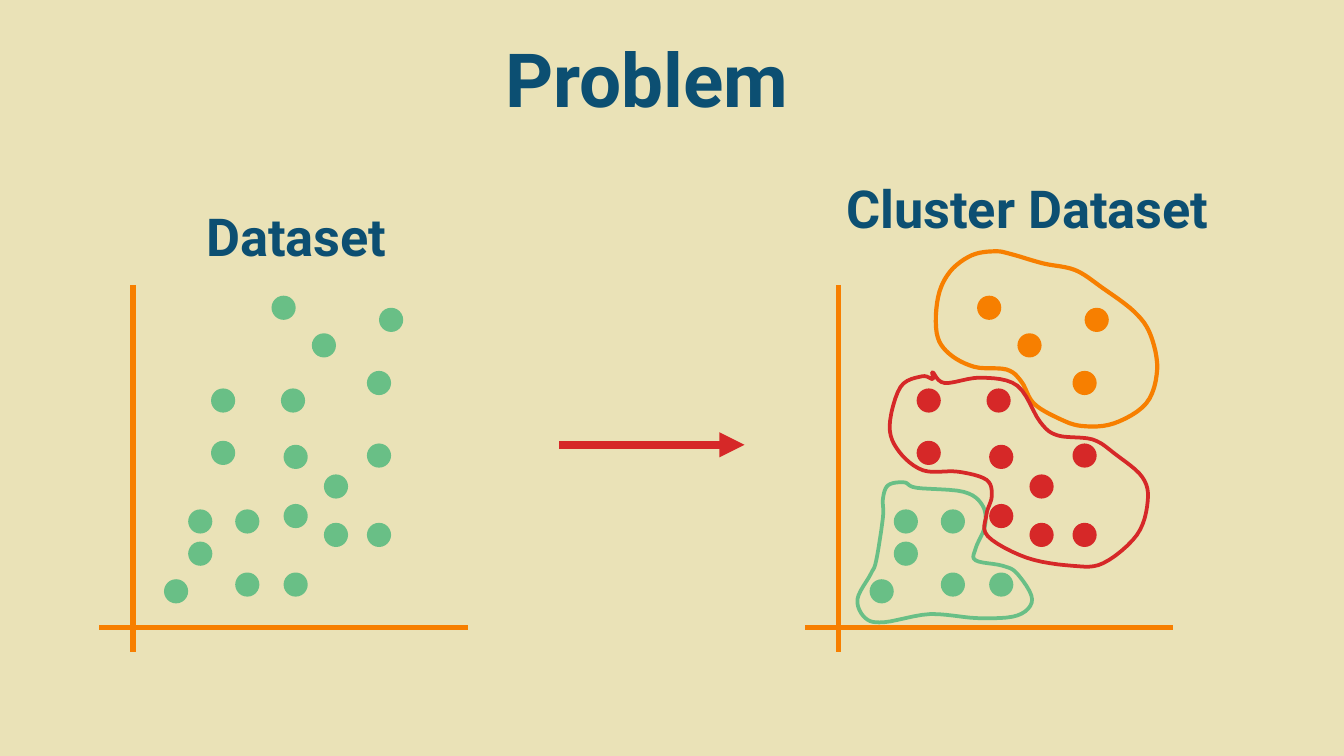
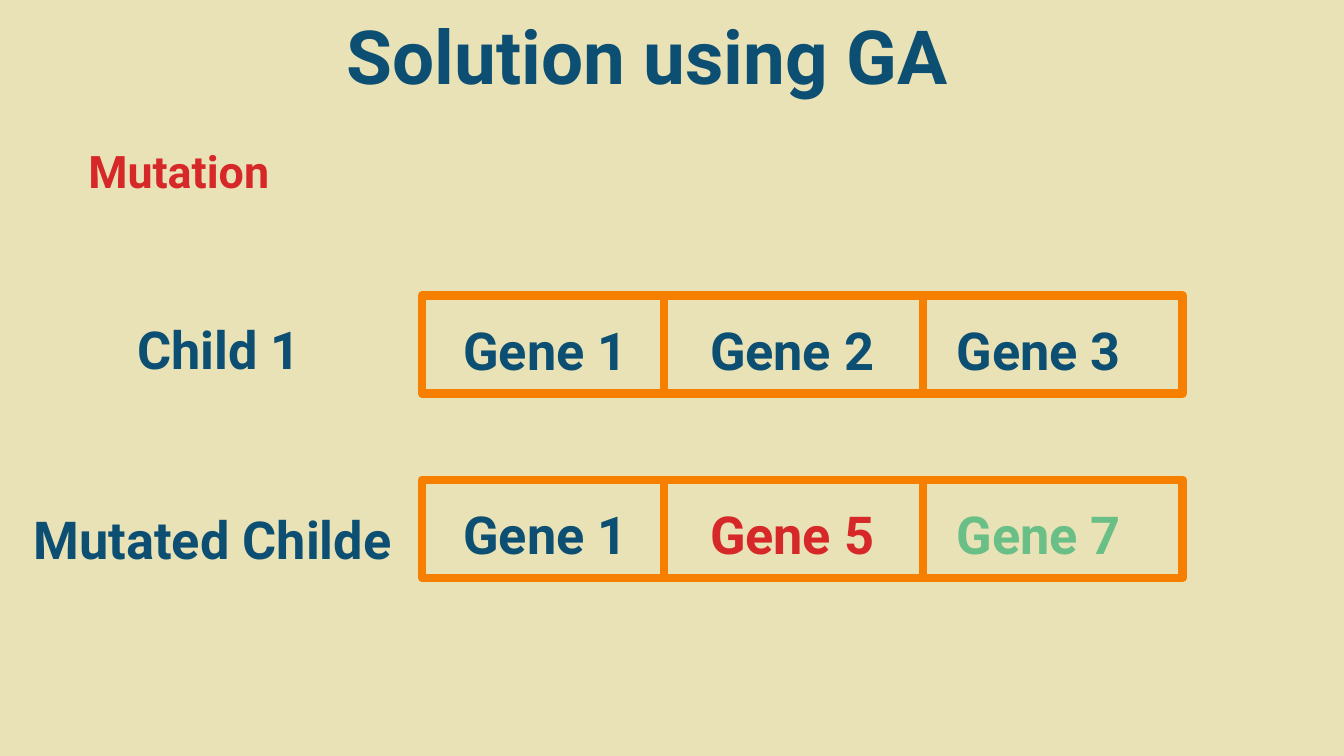
from collections import namedtuple
from dataclasses import dataclass

from lxml import etree
from pptx import Presentation
from pptx.dml.color import RGBColor
from pptx.enum.shapes import MSO_CONNECTOR, MSO_SHAPE
from pptx.enum.text import MSO_ANCHOR, PP_ALIGN
from pptx.oxml.ns import qn
from pptx.util import Pt

STRAIGHT = MSO_CONNECTOR.STRAIGHT
OVAL = MSO_SHAPE.OVAL
RECTANGLE = MSO_SHAPE.RECTANGLE
BOTTOM = MSO_ANCHOR.BOTTOM
CENTER = PP_ALIGN.CENTER

Box = namedtuple("Box", "left top width height")
Cluster = namedtuple("Cluster", "color line_width columns bends")


@dataclass(frozen=True)
class Theme:
    sand: str = "EAE2B7"
    navy: str = "0C4F72"
    orange: str = "F77F00"
    red: str = "D62828"
    green: str = "69BF86"
    font: str = "Roboto"
    title_size: float = 40
    label_size: float = 28
    topic_size: float = 24
    inset: float = 7.2
    axis_line: float = 3
    heavy_line: float = 4.5


THEME = Theme()
GRID = 0.72
DOT_SIZE = 18 * GRID
CURVE_STEPS = 6
LABEL_HEIGHT = 57.6
HEADING_WIDTH = 357.84

LOWER_CLUSTER = Cluster(
    color=THEME.green, line_width=2,
    columns={47: [231], 65: [203, 179], 100: [179, 226], 136: [226]},
    bends=[(48, 227), (38, 246), (44, 260), (58, 263), (92, 257), (128, 260),
           (157, 258), (168, 246), (157, 227), (146, 221), (126, 217), (126, 208),
           (133, 191), (131, 176), (117, 166), (82, 163), (73, 159), (61, 161),
           (57, 171), (57, 185), (52, 217)])
MIDDLE_CLUSTER = Cluster(
    color=THEME.red, line_width=2,
    columns={82: [128, 89], 134: [89], 136: [131, 175], 166: [153, 189], 198: [189, 130]},
    bends=[(94, 82), (86, 80), (70, 88), (62, 117), (69, 136), (87, 150), (113, 151),
           (134, 157), (138, 169), (134, 183), (135, 199), (164, 215), (198, 221),
           (221, 219), (246, 198), (254, 173), (250, 155), (230, 138), (213, 127),
           (187, 124), (174, 114), (157, 87), (130, 81), (103, 85), (94, 77)])
UPPER_CLUSTER = Cluster(
    color=THEME.orange, line_width=2.25,
    columns={127: [20], 157: [48], 198: [76], 207: [29]},
    bends=[(176, -4), (152, -11), (140, -13), (123, -10), (107, 2), (98, 21), (97, 48),
           (106, 63), (125, 73), (149, 75), (160, 84), (169, 100), (187, 111),
           (205, 117), (229, 115), (253, 100), (261, 75), (256, 49), (244, 32),
           (220, 14), (200, 1)])
CLUSTERS = [UPPER_CLUSTER, LOWER_CLUSTER, MIDDLE_CLUSTER]


def lengths(box):
    return [Pt(value) for value in box]


def set_line(line, color, width):
    line.color.rgb = RGBColor.from_string(color)
    line.width = Pt(width)


def make_outline_only(shape, color, width):
    shape.shadow.inherit = False
    shape.fill.background()
    set_line(shape.line, color, width)
    etree.SubElement(shape.line._get_or_add_ln(), qn("a:round"))


def add_label(page, box, text, size=THEME.label_size, color=THEME.navy):
    frame = page.shapes.add_textbox(*lengths(box)).text_frame
    inset = Pt(THEME.inset)
    frame_format = {"word_wrap": True, "vertical_anchor": BOTTOM,
                    "margin_left": inset, "margin_right": inset,
                    "margin_top": inset, "margin_bottom": inset}
    for name, value in frame_format.items():
        setattr(frame, name, value)
    para = frame.paragraphs[0]
    para.alignment = CENTER
    span = para.add_run()
    span.text = text
    span_format = {"name": THEME.font, "size": Pt(size), "bold": True}
    for name, value in span_format.items():
        setattr(span.font, name, value)
    span.font.color.rgb = RGBColor.from_string(color)


def add_line(page, start, end, color, width):
    connector = page.shapes.add_connector(STRAIGHT, *lengths(start + end))
    set_line(connector.line, color, width)
    etree.SubElement(connector._element.spPr, qn("a:effectLst"))
    return connector


def add_arrow(page, start, end):
    arrow = add_line(page, start, end, THEME.red, THEME.heavy_line)
    etree.SubElement(arrow.line._get_or_add_ln(), qn("a:tailEnd"), type="triangle")


def add_page(deck, title, title_box):
    page = deck.slides.add_slide(deck.slide_layouts[6])
    page.background.fill.solid()
    page.background.fill.fore_color.rgb = RGBColor.from_string(THEME.sand)
    add_label(page, title_box, title, THEME.title_size)
    return page


def add_axes(page, box):
    upright = box.left + 24 * GRID
    across = box.top + 267 * GRID
    ends = [((upright, box.top + 12 * GRID), (upright, box.top + box.height)),
            ((box.left - GRID, across), (box.left + box.width, across))]
    for start, end in ends:
        add_line(page, start, end, THEME.orange, THEME.axis_line)


def add_dots(page, box, columns, color):
    for column, rows in columns.items():
        for row in rows:
            spot = Box(box.left + column * GRID, box.top + row * GRID, DOT_SIZE, DOT_SIZE)
            dot = page.shapes.add_shape(OVAL, *lengths(spot))
            dot.shadow.inherit = False
            dot.fill.solid()
            dot.fill.fore_color.rgb = RGBColor.from_string(color)
            dot.line.fill.background()


def spline_value(before, start, end, after, step):
    return start + step / 2 * (
        end - before
        + step * (2 * before - 5 * start + 4 * end - after
                  + step * (3 * (start - end) + after - before)))


def smooth_loop(bends):
    count = len(bends)
    points = []
    for index in range(count):
        neighbours = [bends[(index + shift) % count] for shift in (-1, 0, 1, 2)]
        for step in range(CURVE_STEPS):
            points.append(tuple(spline_value(*values, step / CURVE_STEPS)
                                for values in zip(*neighbours)))
    return points


def add_loop(page, box, cluster):
    points = [(Pt(x * GRID), Pt(y * GRID)) for x, y in smooth_loop(cluster.bends)]
    builder = page.shapes.build_freeform(*points[0])
    builder.add_line_segments(points[1:], close=True)
    loop = builder.convert_to_shape(Pt(box.left), Pt(box.top))
    make_outline_only(loop, cluster.color, cluster.line_width)


def add_dataset(page, box):
    add_axes(page, box)
    for cluster in CLUSTERS:
        add_dots(page, box, cluster.columns, THEME.green)


def add_clustered_dataset(page, box):
    add_axes(page, box)
    for cluster in CLUSTERS:
        add_dots(page, box, cluster.columns, cluster.color)
    for cluster in CLUSTERS:
        add_loop(page, box, cluster)


def add_chromosome(page, box, genes):
    frame = page.shapes.add_shape(RECTANGLE, *lengths(box))
    make_outline_only(frame, THEME.orange, THEME.heavy_line)
    for offset in (129.6, 268.56):
        divider = box.left + offset
        add_line(page, (divider, box.top), (divider, box.top + box.height),
                 THEME.orange, THEME.heavy_line)
    for index, (gene, color) in enumerate(genes):
        gene_box = Box(box.left - 31 + 132.1 * index, box.top - 4.9, 194.4, LABEL_HEIGHT)
        add_label(page, gene_box, gene, color=color)


def build_problem(deck):
    page = add_page(deck, "Problem", Box(167.76, -130.32, HEADING_WIDTH, 203.04))
    dataset_box = Box(54, 144, 196.56, 205.2)
    add_dataset(page, dataset_box)
    add_clustered_dataset(page, dataset_box._replace(left=432))
    add_arrow(page, (299.52, 238.32), (398.88, 238.32))
    add_label(page, Box(-20.16, 92.88, HEADING_WIDTH, LABEL_HEIGHT), "Dataset")
    add_label(page, Box(371.52, 77.76, HEADING_WIDTH, LABEL_HEIGHT), "Cluster Dataset")


def build_solution(deck):
    page = add_page(deck, "Solution using GA", Box(167.76, -12.24, HEADING_WIDTH, 72.72))
    add_label(page, Box(-15.12, 72.72, 221.76, 40.32), "Mutation",
              THEME.topic_size, THEME.red)
    rows = [
        ("Child 1", 153.36, 158.4,
         [("Gene 1", THEME.navy), ("Gene 2", THEME.navy), ("Gene 3", THEME.navy)]),
        ("Mutated Childe ", 254.88, 257.04,
         [("Gene 1", THEME.navy), ("Gene 5", THEME.red), ("Gene 7", THEME.green)]),
    ]
    for label, label_top, top, genes in rows:
        add_chromosome(page, Box(226.08, top, 407.52, 52.56), genes)
        add_label(page, Box(9.36, label_top, 216, LABEL_HEIGHT), label)


def main():
    deck = Presentation()
    deck.slide_width, deck.slide_height = Pt(720), Pt(405)
    build_problem(deck)
    build_solution(deck)
    deck.save("out.pptx")


if __name__ == "__main__":
    main()
